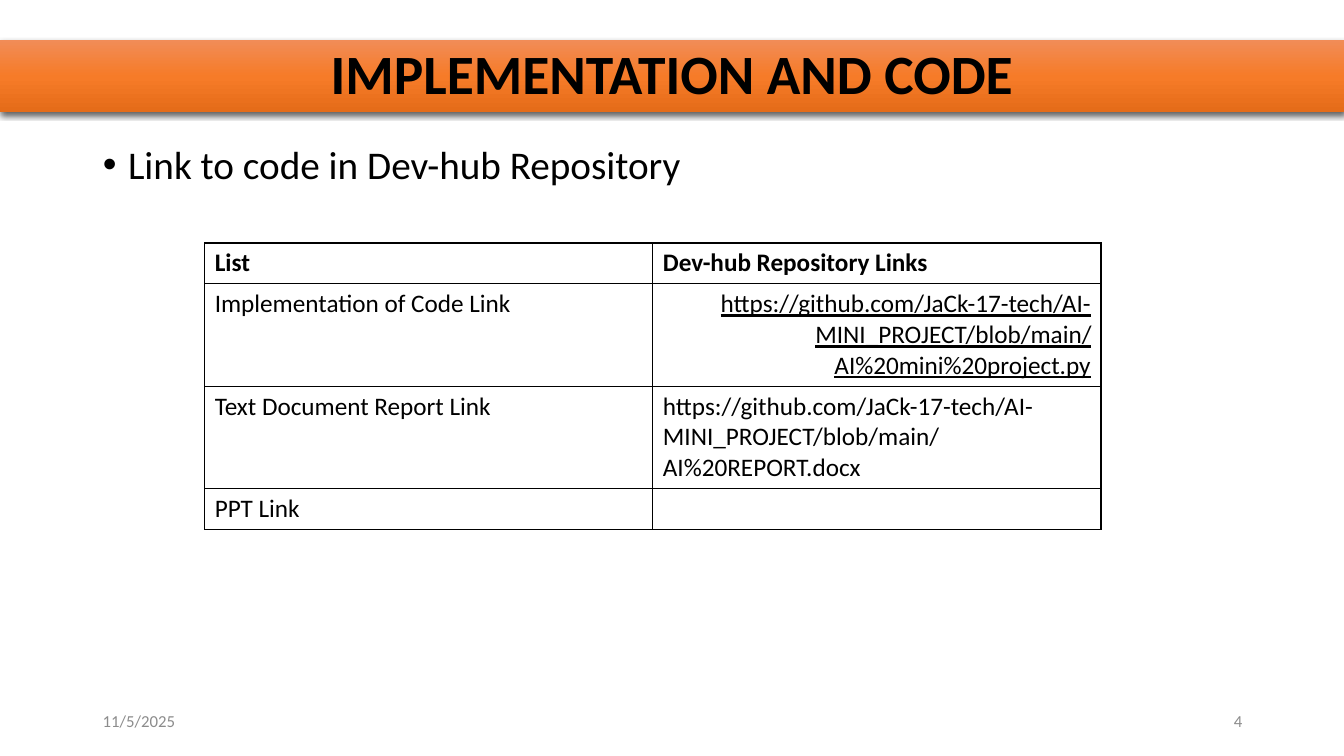
"""Build the implementation and code slide with its table of repository links."""
from dataclasses import dataclass

from pptx import Presentation
from pptx.dml.color import RGBColor
from pptx.enum.text import MSO_ANCHOR as Anchor, MSO_AUTO_SIZE as AutoSize, PP_ALIGN as Align
from pptx.oxml import parse_xml
from pptx.oxml.ns import nsdecls
from pptx.util import Inches, Pt


@dataclass(frozen=True)
class Theme:
    font: str = "Calibri"
    ink: str = "000000"
    muted: str = "8C8C8C"
    paper: str = "FFFFFF"
    banner: tuple = ((0, "F18C57"), (50, "F67B28"), (100, "E56C19"))
    title_size: float = 39.6
    body_size: float = 28
    table_size: float = 18
    footer_size: float = 12


theme = Theme()


def write(frame, text, size, color=theme.ink, bold=False, underline=False,
          align=Align.LEFT, anchor=Anchor.TOP, spacing=1.0):
    frame.word_wrap = True
    frame.auto_size = AutoSize.NONE
    frame.vertical_anchor = anchor
    para = frame.paragraphs[0]
    para.alignment = align
    para.line_spacing = spacing
    para.space_before = Pt(0)
    span = para.add_run()
    span.text = text
    font = span.font
    font.name, font.size, font.bold, font.underline = theme.font, Pt(size), bold, underline
    font.color.rgb = RGBColor.from_string(color)
    return para


def place(shape, left, top, width, height):
    shape.left, shape.top = Inches(left), Inches(top)
    shape.width, shape.height = Inches(width), Inches(height)


deck = Presentation()
deck.slide_width, deck.slide_height = Inches(13.33), Inches(7.5)
page = deck.slides.add_slide(deck.slide_layouts[1])

title = page.shapes.title
place(title, 0, 0.4, 13.33, 0.71)
stops = "".join(f'<a:gs pos="{spot * 1000}"><a:srgbClr val="{color}"/></a:gs>'
                for spot, color in theme.banner)
properties = title.element.spPr
properties.append(parse_xml(
    f'<a:gradFill {nsdecls("a")} rotWithShape="1"><a:gsLst>{stops}</a:gsLst>'
    '<a:lin ang="5400000" scaled="0"/></a:gradFill>'))
properties.append(parse_xml(
    f'<a:effectLst {nsdecls("a")}><a:outerShdw blurRad="{Pt(4.5)}" dist="{Pt(1.5)}" '
    f'dir="5400000" rotWithShape="0"><a:srgbClr val="{theme.ink}"><a:alpha val="63000"/>'
    '</a:srgbClr></a:outerShdw></a:effectLst>'))
write(title.text_frame, "IMPLEMENTATION AND CODE", theme.title_size, bold=True,
      align=Align.CENTER, anchor=Anchor.MIDDLE, spacing=0.9)

body = page.placeholders[1]
place(body, 0.92, 1.39, 11.5, 5.37)
bullet = write(body.text_frame, "Link to code in Dev-hub Repository", theme.body_size,
               spacing=0.9)
layout = bullet._p.get_or_add_pPr()
layout.set("marL", str(Inches(0.25)))
layout.set("indent", str(-Inches(0.25)))
layout.append(parse_xml(f'<a:buChar {nsdecls("a")} char="•"/>'))

repository = "https://github.com/JaCk-17-tech/AI-MINI_PROJECT/blob/main/"
rows = [
    ("List", "Dev-hub Repository Links", 0.4),
    ("Implementation of Code Link", repository + "AI%20mini%20project.py", 1.01),
    ("Text Document Report Link", repository + "AI%20REPORT.docx", 1.01),
    ("PPT Link", "", 0.4),
]
table = page.shapes.add_table(len(rows), 2, Inches(2.03), Inches(2.41),
                              Inches(8.89), Inches(2.82)).table
table.first_row = table.horz_banding = False
for row_index, (label, link, height) in enumerate(rows):
    table.rows[row_index].height = Inches(height)
    for column_index, text in enumerate((label, link)):
        cell = table.cell(row_index, column_index)
        cell_properties = cell._tc.get_or_add_tcPr()
        for side in "LRTB":
            cell_properties.append(parse_xml(
                f'<a:ln{side} {nsdecls("a")} w="{Pt(1)}"><a:solidFill>'
                f'<a:srgbClr val="{theme.ink}"/></a:solidFill></a:ln{side}>'))
        cell.fill.solid()
        cell.fill.fore_color.rgb = RGBColor.from_string(theme.paper)
        code_link = (row_index, column_index) == (1, 1)
        if text:
            write(cell.text_frame, text, theme.table_size, bold=row_index == 0,
                  underline=code_link, align=Align.RIGHT if code_link else Align.LEFT)

for left, text, align in ((0.92, "11/5/2025", Align.LEFT), (9.42, "4", Align.RIGHT)):
    footer = page.shapes.add_textbox(Inches(left), Inches(6.95), Inches(3), Inches(0.4))
    write(footer.text_frame, text, theme.footer_size, color=theme.muted, align=align,
          anchor=Anchor.MIDDLE)

deck.save("out.pptx")
